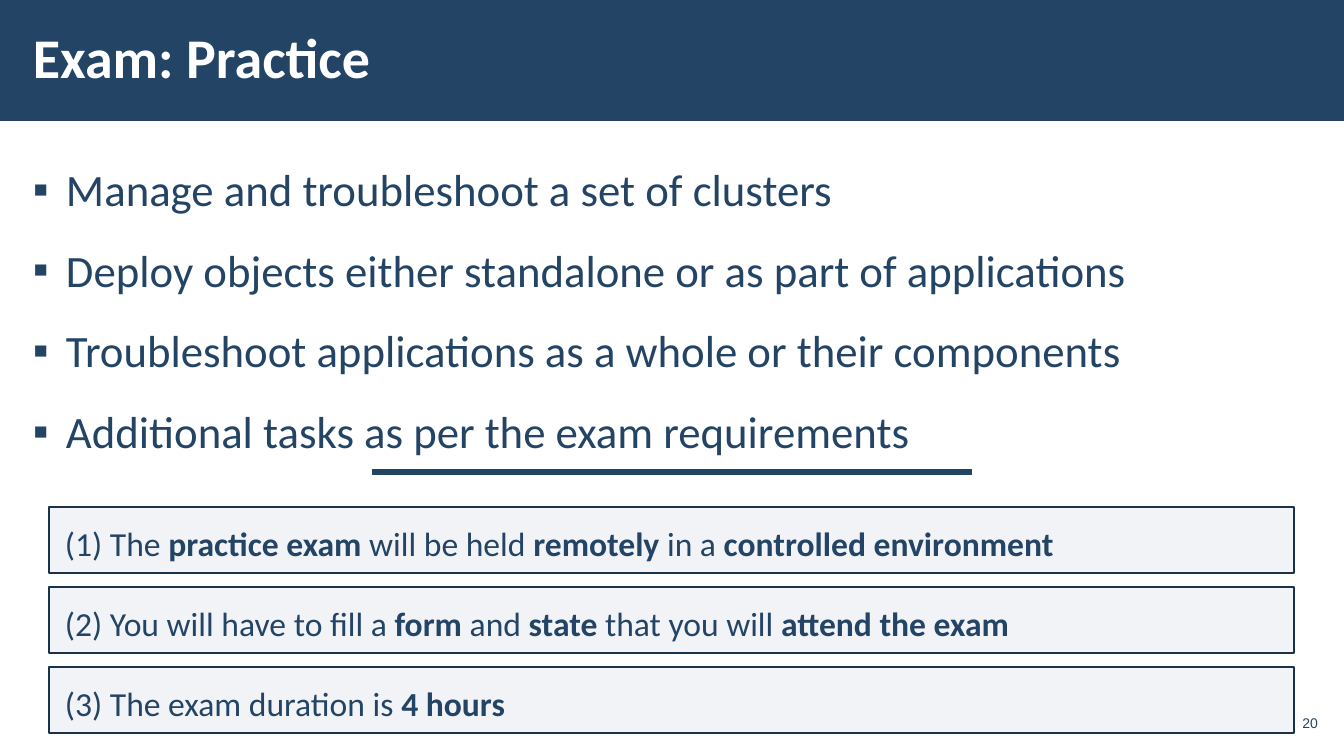
import pptx
import pptx.dml.color
import pptx.enum.shapes
import pptx.enum.text
import pptx.oxml.ns
import pptx.oxml.xmlchemy
import pptx.util
from lxml import etree

EMU_PER_PX = 914400 / 100.8
SLIDE_W, SLIDE_H = 1344, 756
NAVY, WHITE = "234465", "FFFFFF"
ANCHOR = pptx.enum.text.MSO_ANCHOR
ALIGN = pptx.enum.text.PP_ALIGN

TASKS = [
    "Manage and troubleshoot a set of clusters",
    "Deploy objects either standalone or as part of applications",
    "Troubleshoot applications as a whole or their components",
    "Additional tasks as per the exam requirements",
]

# Each note alternates between regular and bold runs, starting with regular.
NOTES = [
    ["(1) The ", "practice exam ", "will be held ", "remotely ", "in a",
     " controlled environment"],
    ["(2) You will have to fill a ", "form", " and ", "state",
     " that you will ", "attend the exam"],
    ["(3) The exam duration is ", "4 hours"],
]
NOTE_TOP, NOTE_STEP = 507, 80


def px(length):
    return pptx.util.Emu(round(length * EMU_PER_PX))


def color(hex_code):
    return pptx.dml.color.RGBColor.from_string(hex_code)


def add_xml(parent, tag, **attributes):
    return etree.SubElement(parent, pptx.oxml.ns.qn(tag), **attributes)


def add_run(paragraph, text, size, hex_code=NAVY, bold=False, font="Calibri"):
    run = paragraph.add_run()
    run.text = text
    run.font.name = font
    run.font.size = pptx.util.Pt(size)
    run.font.bold = bold
    run.font.color.rgb = color(hex_code)


def set_frame(shape, inset_x, inset_y, anchor):
    """Set wrapping, insets and anchor, and return the text frame."""
    frame = shape.text_frame
    frame.word_wrap = True
    frame.margin_left = frame.margin_right = px(inset_x)
    frame.margin_top = frame.margin_bottom = px(inset_y)
    frame.vertical_anchor = anchor
    return frame


def add_text_box(slide, box, inset_x=12, anchor=ANCHOR.MIDDLE):
    text_box = slide.shapes.add_textbox(*map(px, box))
    return set_frame(text_box, inset_x, 4, anchor)


def add_rectangle(slide, box, fill):
    rectangle = slide.shapes.add_shape(
        pptx.enum.shapes.MSO_SHAPE.RECTANGLE, *map(px, box))
    rectangle.shadow.inherit = False
    rectangle.fill.solid()
    rectangle.fill.fore_color.rgb = color(fill)
    rectangle.line.fill.background()
    return rectangle


def add_header(slide, title):
    add_rectangle(slide, (0, 0, SLIDE_W, 121), NAVY)
    heading = add_text_box(slide, (21, 11, 1072, 98)).paragraphs[0]
    heading.line_spacing = 0.9
    add_run(heading, title, 40, WHITE, bold=True)


def set_bullet(paragraph, indent):
    properties = paragraph._p.get_or_add_pPr()
    properties.set("marL", str(px(indent)))
    properties.set("indent", str(-px(indent)))
    bullet_color = add_xml(properties, "a:buClr")
    add_xml(bullet_color, "a:srgbClr", val=NAVY)
    add_xml(properties, "a:buFont", typeface="Arial")
    add_xml(properties, "a:buChar", char="▪")


def add_task_list(slide, tasks):
    frame = add_text_box(slide, (21, 131, 1301, 610), anchor=ANCHOR.TOP)
    for index, task in enumerate(tasks):
        item = frame.add_paragraph() if index else frame.paragraphs[0]
        item.line_spacing = 1.5
        set_bullet(item, 33)
        add_run(item, task, 32)


def add_note(slide, top, parts):
    note = add_rectangle(slide, (49, top, 1245, 66), "ADB4C3")
    tint = note.fill._xPr.find(".//" + pptx.oxml.ns.qn("a:srgbClr"))
    add_xml(tint, "a:alpha", val="15000")
    note.line.color.rgb = color("1A334C")
    note.line.width = pptx.util.Pt(1)
    paragraph = set_frame(note, 16, 12, ANCHOR.TOP).paragraphs[0]
    paragraph.alignment = ALIGN.LEFT
    paragraph.line_spacing = 1.1
    for index, part in enumerate(parts):
        add_run(paragraph, part, 24, bold=index % 2 == 1)


def add_divider(slide, left, right, y):
    divider = slide.shapes.add_connector(
        pptx.enum.shapes.MSO_CONNECTOR.STRAIGHT,
        px(left), px(y), px(right), px(y))
    divider.line.color.rgb = color("214364")
    divider.line.width = pptx.util.Pt(4.5)
    add_xml(divider._element.spPr, "a:effectLst")


def add_page_number(slide, number):
    paragraph = add_text_box(slide, (1275, 706, 47, 34), 4).paragraphs[0]
    paragraph.alignment = ALIGN.RIGHT
    add_run(paragraph, number, 10, font="Arial")


def main():
    deck = pptx.Presentation()
    deck.slide_width, deck.slide_height = px(SLIDE_W), px(SLIDE_H)
    slide = deck.slides.add_slide(deck.slide_layouts[6])
    add_header(slide, "Exam: Practice")
    add_task_list(slide, TASKS)
    add_page_number(slide, "20")
    for index, parts in enumerate(NOTES):
        add_note(slide, NOTE_TOP + index * NOTE_STEP, parts)
    add_divider(slide, 372, 972, 472)
    deck.save("out.pptx")


if __name__ == "__main__":
    main()
